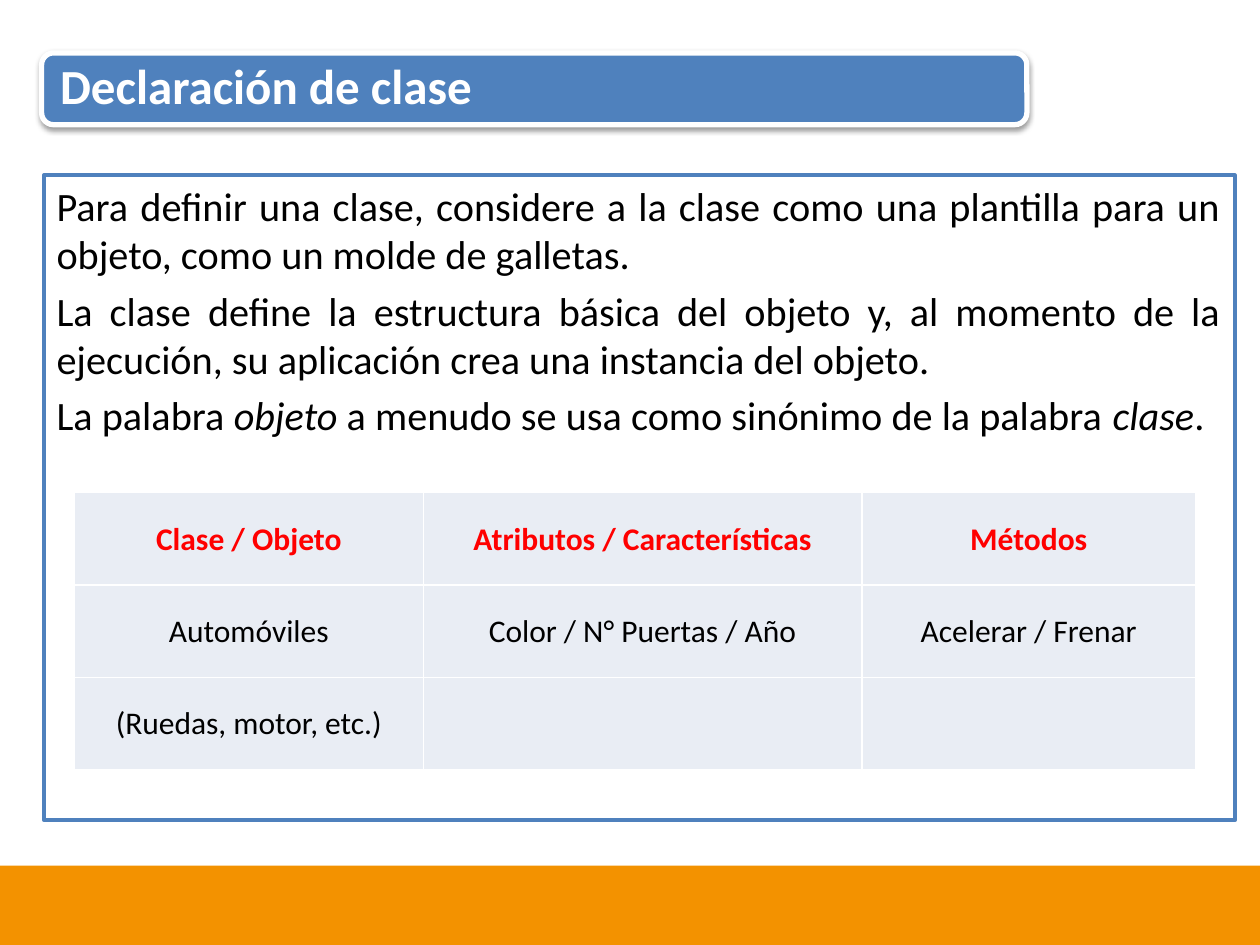
from lxml import etree
from pptx import Presentation, util as u
from pptx.dml.color import RGBColor
from pptx.enum import shapes, text
from pptx.oxml import ns

BLUE, WHITE, BLACK, RED = "4F81BD", "FFFFFF", "000000", "FF0000"
ORANGE, PALE = "F39200", "E9EDF4"


def color(value):
    return RGBColor.from_string(value)


def set_font(para, size, value, bold=False):
    para.font.name = "Calibri"
    para.font.size = u.Pt(size)
    para.font.bold = bold
    para.font.color.rgb = color(value)


def inches(box):
    return [u.Inches(length) for length in box]


def add_shadow(shape):
    effects = etree.SubElement(shape._element.spPr, ns.qn("a:effectLst"))
    shadow = etree.SubElement(
        effects, ns.qn("a:outerShdw"), blurRad=str(u.Pt(3.1)),
        dist=str(u.Pt(1.6)), dir="5400000", rotWithShape="0")
    tone = etree.SubElement(shadow, ns.qn("a:srgbClr"), val=BLACK)
    etree.SubElement(tone, ns.qn("a:alpha"), val="38000")


def add_footer(page, box):
    band = page.shapes.add_shape(shapes.MSO_SHAPE.RECTANGLE, *inches(box))
    band.shadow.inherit = False
    band.fill.solid()
    band.fill.fore_color.rgb = color(ORANGE)
    band.line.fill.background()


def add_title(page, box, title):
    banner = page.shapes.add_shape(shapes.MSO_SHAPE.ROUNDED_RECTANGLE, *inches(box))
    banner.fill.solid()
    banner.fill.fore_color.rgb = color(BLUE)
    banner.line.color.rgb = color(WHITE)
    banner.line.width = u.Pt(3)
    add_shadow(banner)
    frame = banner.text_frame
    frame.margin_left = u.Inches(0.12)
    frame.vertical_anchor = text.MSO_ANCHOR.MIDDLE
    para = frame.paragraphs[0]
    para.text = title
    para.alignment = text.PP_ALIGN.LEFT
    para.line_spacing = 0.9
    set_font(para, 28, WHITE, True)


def add_body(page, box, paragraphs):
    body = page.shapes.add_textbox(*inches(box))
    body.line.color.rgb = color(BLUE)
    body.line.width = u.Pt(2.25)
    frame = body.text_frame
    frame.word_wrap = True
    for index, pieces in enumerate(paragraphs):
        para = frame.add_paragraph() if index else frame.paragraphs[0]
        para.alignment = text.PP_ALIGN.JUSTIFY
        para.space_before = u.Pt(4.6 if index else 0)
        set_font(para, 23, BLACK)
        for position, piece in enumerate(pieces):
            span = para.add_run()
            span.text = piece
            if position % 2:
                span.font.italic = True


def add_grid(page, box, widths, rows):
    table = page.shapes.add_table(len(rows), len(widths), *inches(box)).table
    table.first_row = False
    table.horz_banding = False
    for column, width in zip(table.columns, widths):
        column.width = u.Inches(width)
    for r, row in enumerate(rows):
        for c, label in enumerate(row):
            cell = table.cell(r, c)
            cell.fill.solid()
            cell.fill.fore_color.rgb = color(PALE)
            cell.vertical_anchor = text.MSO_ANCHOR.MIDDLE
            cell.margin_left = cell.margin_right = cell.margin_top = u.Inches(0.01)
            cell.margin_bottom = 0
            para = cell.text_frame.paragraphs[0]
            para.text = label
            para.alignment = text.PP_ALIGN.CENTER
            set_font(para, 18, BLACK if r else RED, r == 0)


deck = Presentation()
deck.slide_width, deck.slide_height = u.Inches(10), u.Inches(7.5)
page = deck.slides.add_slide(deck.slide_layouts[6])
add_footer(page, (0, 6.87, 10, 0.63))
add_body(page, (0.35, 1.39, 9.45, 5.12), [
    ["Para definir una clase, considere a la clase como una plantilla para un "
     "objeto, como un molde de galletas."],
    ["La clase define la estructura básica del objeto y, al momento de la "
     "ejecución, su aplicación crea una instancia del objeto."],
    ["La palabra\u00a0", "objeto",
     "\u00a0a menudo se usa como sinónimo de la palabra\u00a0", "clase", "."],
])
add_title(page, (0.33, 0.42, 7.82, 0.57), "Declaración de clase")
add_grid(page, (0.59, 3.91, 8.9, 2.2), (2.77, 3.48, 2.65), [
    ("Clase / Objeto", "Atributos / Características", "Métodos"),
    ("Automóviles", "Color / N° Puertas / Año", "Acelerar / Frenar"),
    ("(Ruedas, motor, etc.)", "", ""),
])
deck.save("out.pptx")
